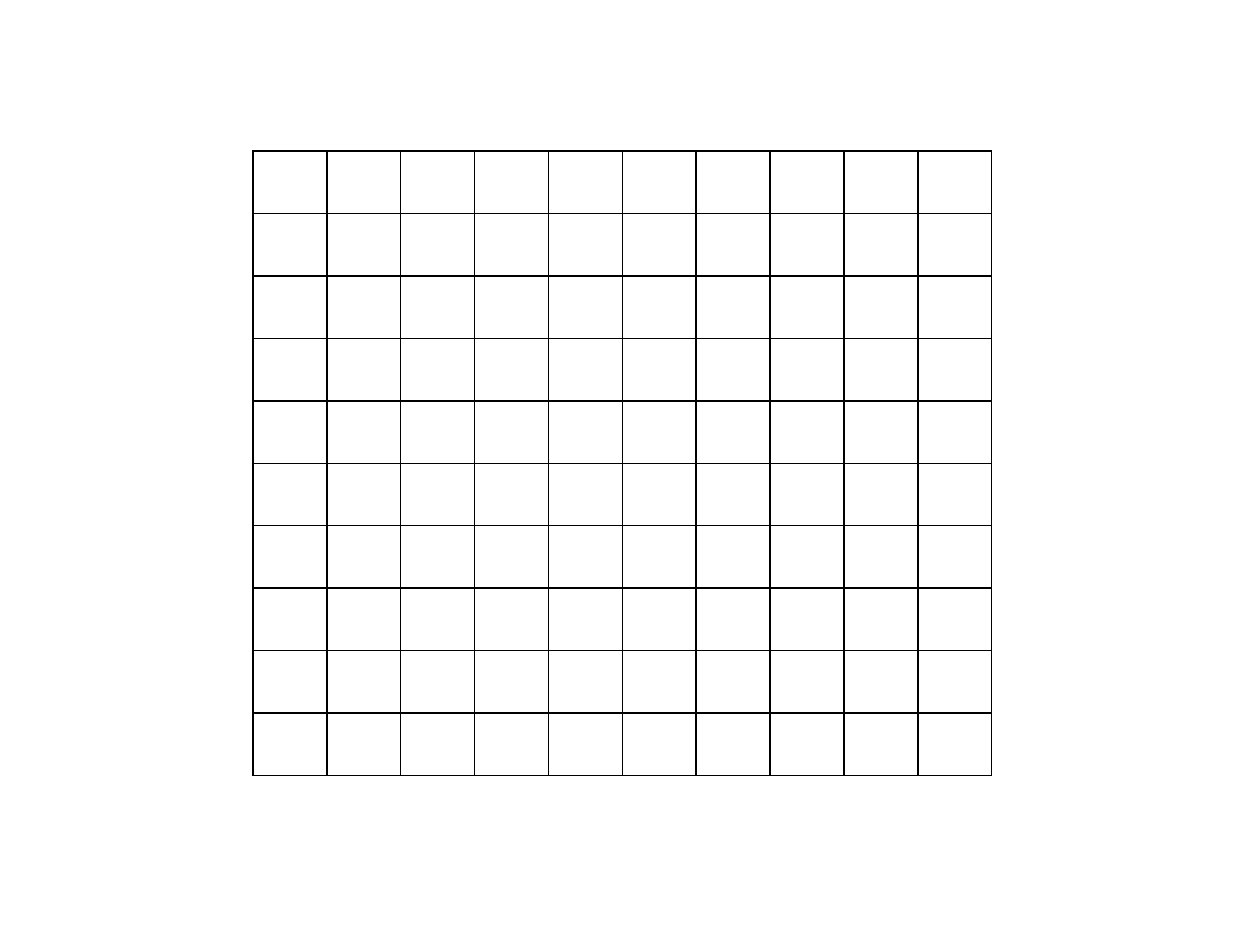
from lxml import etree
from pptx import Presentation
from pptx import util as u
from pptx.oxml import ns

PX = u.Inches(1) / 126
COLORS = {"grid": "000000"}
SIDES = ("lnL", "lnR", "lnT", "lnB")
ROWS = COLUMNS = 10


def px(length):
    return u.Emu(round(length * PX))


def add_border(cell, side):
    line = etree.SubElement(cell._tc.get_or_add_tcPr(), ns.qn(f"a:{side}"), w=str(u.Pt(1)))
    fill = etree.SubElement(line, ns.qn("a:solidFill"))
    etree.SubElement(fill, ns.qn("a:srgbClr"), val=COLORS["grid"])


# Slide
deck = Presentation()
deck.slide_width, deck.slide_height = px(1260), px(945)
slide = deck.slides.add_slide(deck.slide_layouts[6])

# Hundred grid: equal, empty cells
hundred_grid = slide.shapes.add_table(
    ROWS, COLUMNS, px(253), px(151), px(739), px(625)
).table
hundred_grid.first_row = False
hundred_grid.horz_banding = False

# Thin border round every cell, no fill
for square in hundred_grid.iter_cells():
    for side in SIDES:
        add_border(square, side)
    square.fill.background()

deck.save("out.pptx")
